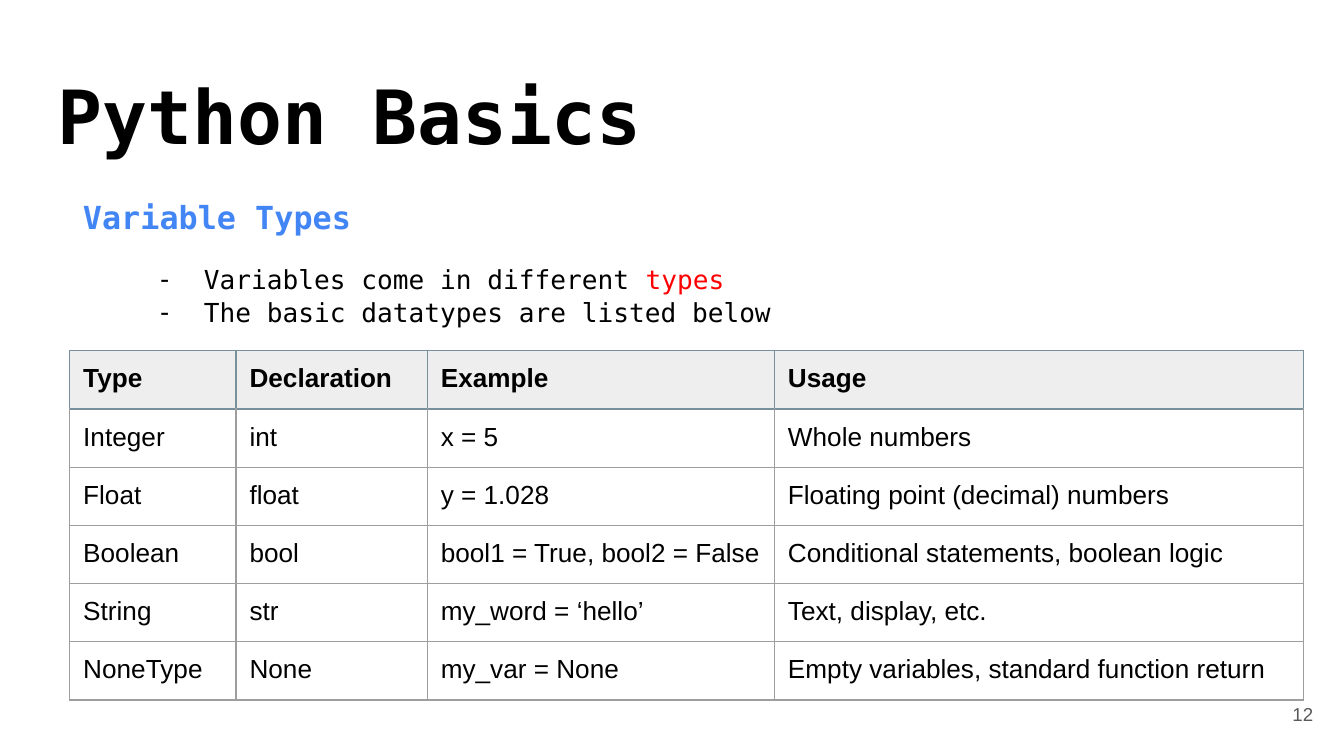
from dataclasses import dataclass

from lxml.etree import SubElement as Sub
from pptx import Presentation
from pptx.dml.color import RGBColor as RGB
from pptx.enum.text import MSO_ANCHOR as Anchor, MSO_AUTO_SIZE as AutoSize, PP_ALIGN as Align
from pptx.oxml.ns import qn
from pptx.util import Pt


@dataclass(frozen=True)
class Theme:
    mono: str = "DejaVu Sans Mono"
    sans: str = "Arial"
    ink: str = "000000"
    heading: str = "4285F4"
    accent: str = "FF0000"
    muted: str = "595959"
    header_fill: str = "EEEEEE"
    header_line: str = "78909C"
    grid_line: str = "9E9E9E"
    title_size: int = 40
    heading_size: int = 17
    body_size: int = 14
    number_size: int = 10
    inset: float = 7.2
    border: float = 0.75
    mono_spacing: float = 1.05


T = Theme()
COLUMNS = (89.1, 102.5, 186, 283.6)
ROW_HEIGHT = 31.2
ROWS = (
    ("Type", "Declaration", "Example", "Usage"),
    ("Integer", "int", "x = 5", "Whole numbers"),
    ("Float", "float", "y = 1.028", "Floating point (decimal) numbers"),
    ("Boolean", "bool", "bool1 = True, bool2 = False", "Conditional statements, boolean logic"),
    ("String", "str", "my_word = ‘hello’", "Text, display, etc."),
    ("NoneType", "None", "my_var = None", "Empty variables, standard function return"),
)
BULLETS = (
    (("Variables come in different ", T.ink), ("types", T.accent)),
    (("The basic datatypes are listed below", T.ink),),
)


def add_run(p, text, size, color=T.ink, font=T.sans, bold=False):
    r = p.add_run()
    r.text = text
    f = r.font
    f.name, f.size, f.bold = font, Pt(size), bold
    f.color.rgb = RGB.from_string(color)


def set_margins(target):
    target.margin_left = target.margin_right = Pt(T.inset)
    target.margin_top = target.margin_bottom = Pt(T.inset)


def format_frame(sp, anchor=Anchor.TOP):
    tf = sp.text_frame
    tf.word_wrap = True
    tf.auto_size = AutoSize.NONE
    tf.vertical_anchor = anchor
    set_margins(tf)
    return tf


def add_box(s, left, top, width, height, anchor=Anchor.TOP):
    sp = s.shapes.add_textbox(Pt(left), Pt(top), Pt(width), Pt(height))
    return format_frame(sp, anchor)


def add_title(s, text):
    sp = s.shapes.title
    sp.left, sp.top, sp.width, sp.height = Pt(23.8), Pt(28.1), Pt(390), Pt(63.4)
    p = format_frame(sp).paragraphs[0]
    p.alignment = Align.LEFT
    p.line_spacing = T.mono_spacing
    add_run(p, text, T.title_size, font=T.mono, bold=True)


def add_heading(s, text):
    p = add_box(s, 37.4, 97.9, 484.6, 35.3).paragraphs[0]
    p.line_spacing = T.mono_spacing
    add_run(p, text, T.heading_size, T.heading, T.mono, True)


def set_dash(p, left, hanging):
    pPr = p._p.get_or_add_pPr()
    pPr.set("marL", str(Pt(left)))
    pPr.set("indent", str(-Pt(hanging)))
    color = Sub(pPr, qn("a:buClr"))
    Sub(color, qn("a:srgbClr"), val=T.ink)
    Sub(pPr, qn("a:buFont"), typeface=T.mono)
    Sub(pPr, qn("a:buChar"), char="-")


def add_bullets(s, items):
    tf = add_box(s, 66.2, 133.2, 616.3, 48.2)
    for i, runs in enumerate(items):
        p = tf.add_paragraph() if i else tf.paragraphs[0]
        p.line_spacing = T.mono_spacing
        set_dash(p, 36, 25.2)
        for text, color in runs:
            add_run(p, text, T.body_size, color, T.mono)


def set_borders(cell, colors):
    tcPr = cell._tc.get_or_add_tcPr()
    for side, color in colors.items():
        ln = Sub(tcPr, qn(f"a:ln{side}"), w=str(Pt(T.border)))
        fill = Sub(ln, qn("a:solidFill"))
        Sub(fill, qn("a:srgbClr"), val=color)


def format_cell(cell, text, row):
    header = row == 0
    line = T.header_line if header else T.grid_line
    colors = dict.fromkeys("LRTB", line)
    if row == 1:
        colors["T"] = T.header_line
    set_borders(cell, colors)
    set_margins(cell)
    if header:
        cell.fill.solid()
        cell.fill.fore_color.rgb = RGB.from_string(T.header_fill)
    else:
        cell.fill.background()
    add_run(cell.text_frame.paragraphs[0], text, T.body_size, bold=header)


def add_type_table(s, rows):
    frame = s.shapes.add_table(len(rows), len(COLUMNS), Pt(37.4), Pt(187.9),
                               Pt(sum(COLUMNS)), Pt(ROW_HEIGHT * len(rows)))
    table = frame.table
    table.horz_banding = False
    for column, width in zip(table.columns, COLUMNS):
        column.width = Pt(width)
    for i, values in enumerate(rows):
        table.rows[i].height = Pt(ROW_HEIGHT)
        for j, text in enumerate(values):
            format_cell(table.cell(i, j), text, i)


def add_page_number(s, text):
    p = add_box(s, 667.4, 367.2, 43.2, 31, Anchor.MIDDLE).paragraphs[0]
    p.alignment = Align.RIGHT
    add_run(p, text, T.number_size, T.muted)


def main():
    prs = Presentation()
    prs.slide_width, prs.slide_height = Pt(720), Pt(405)
    s = prs.slides.add_slide(prs.slide_layouts[5])
    add_title(s, "Python Basics")
    add_heading(s, "Variable Types")
    add_page_number(s, "12")
    add_bullets(s, BULLETS)
    add_type_table(s, ROWS)
    prs.save("out.pptx")


main()
